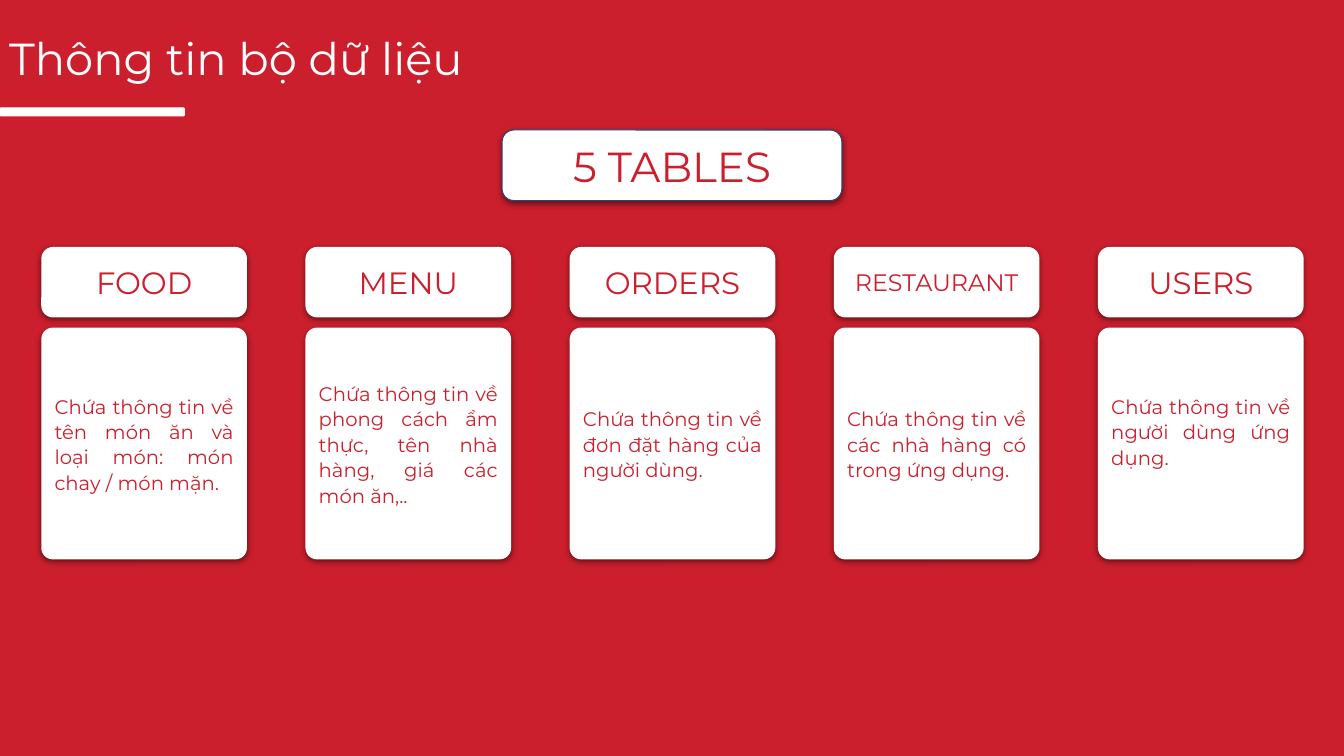
from dataclasses import dataclass

from lxml import etree
from pptx import Presentation
from pptx.dml.color import RGBColor
from pptx.enum.shapes import MSO_SHAPE
from pptx.enum.text import MSO_ANCHOR, PP_ALIGN
from pptx.oxml.ns import qn
from pptx.util import Inches, Pt

ROUNDED = MSO_SHAPE.ROUNDED_RECTANGLE
TOP, MIDDLE = MSO_ANCHOR.TOP, MSO_ANCHOR.MIDDLE
LEFT, CENTER, JUSTIFY = PP_ALIGN.LEFT, PP_ALIGN.CENTER, PP_ALIGN.JUSTIFY


@dataclass(frozen=True)
class Theme:
    font: str = "Montserrat"
    red: str = "CC1F2D"
    white: str = "FFFFFF"
    navy: str = "1F497D"
    shadow: str = "000000"
    title: float = 32
    banner: float = 30
    heading: float = 22
    long_heading: float = 17
    body: float = 14
    line: float = 0.75


@dataclass(frozen=True)
class Box:
    left: float
    top: float
    width: float
    height: float

    def lengths(self):
        return [Inches(n) for n in (self.left, self.top, self.width, self.height)]


@dataclass(frozen=True)
class Grid:
    left: float = 0.41
    pitch: float = 2.62
    width: float = 2.04
    heading_top: float = 2.45
    heading_height: float = 0.7
    body_top: float = 3.25
    body_height: float = 2.3

    def heading(self, column: int) -> Box:
        return Box(self.left + column * self.pitch, self.heading_top, self.width, self.heading_height)

    def body(self, column: int) -> Box:
        return Box(self.left + column * self.pitch, self.body_top, self.width, self.body_height)


@dataclass(frozen=True)
class TableCard:
    name: str
    description: str
    name_size: float
    bottom_inset: float = 0.1


THEME = Theme()
GRID = Grid()
SLIDE_WIDTH, SLIDE_HEIGHT = 13.33, 7.5
PADDING = (0.1, 0.1, 0.1, 0.1)
BANNER_WIDTH = 3.37

CARDS = [
    TableCard("FOOD", "Chứa thông tin về tên món ăn và loại món: món chay / món mặn.", THEME.heading),
    TableCard("MENU", "Chứa thông tin về phong cách ẩm thực, tên nhà hàng, giá các món ăn,..", THEME.heading),
    TableCard("ORDERS", "Chứa thông tin về đơn đặt hàng của người dùng.", THEME.heading),
    TableCard("RESTAURANT", "Chứa thông tin về các nhà hàng có trong ứng dụng.", THEME.long_heading),
    TableCard("USERS", "Chứa thông tin về người dùng ứng dụng.", THEME.heading, bottom_inset=0.35),
]


def write_text(shape, text: str, *, size: float, color: str = THEME.red, align=CENTER,
               anchor=MIDDLE, insets=PADDING, spacing: float = 1.0) -> None:
    frame = shape.text_frame
    frame.word_wrap = True
    frame.vertical_anchor = anchor
    frame.margin_left, frame.margin_top, frame.margin_right, frame.margin_bottom = map(Inches, insets)
    paragraph = frame.paragraphs[0]
    paragraph.alignment = align
    paragraph.line_spacing = spacing
    run = paragraph.add_run()
    run.text = text
    run.font.name = THEME.font
    run.font.size = Pt(size)
    run.font.color.rgb = RGBColor.from_string(color)


def add_shadow(shape) -> None:
    effects = shape._element.spPr.find(qn("a:effectLst"))
    shadow = etree.SubElement(effects, qn("a:outerShdw"), blurRad=str(Pt(4.5)), dist=str(Pt(1.5)),
                              dir="5400000", algn="t", rotWithShape="0")
    color = etree.SubElement(shadow, qn("a:srgbClr"), val=THEME.shadow)
    etree.SubElement(color, qn("a:alpha"), val="50000")


def add_panel(shapes, box: Box, *, corner: float = 0.167, line: str = "", shadow: bool = True):
    shape = shapes.add_shape(ROUNDED, *box.lengths())
    shape.adjustments[0] = corner
    shape.fill.solid()
    shape.fill.fore_color.rgb = RGBColor.from_string(THEME.white)
    if line:
        shape.line.color.rgb = RGBColor.from_string(line)
        shape.line.width = Pt(THEME.line)
    else:
        shape.line.fill.background()
    shape.shadow.inherit = False
    if shadow:
        add_shadow(shape)
    return shape


def add_card(slide, column: int, card: TableCard) -> None:
    shapes = slide.shapes.add_group_shape().shapes
    heading = add_panel(shapes, GRID.heading(column))
    write_text(heading, card.name, size=card.name_size)
    body = add_panel(shapes, GRID.body(column), corner=0.056)
    write_text(body, card.description, size=THEME.body, align=JUSTIFY, spacing=1.08,
               insets=(*PADDING[:3], card.bottom_inset))


def main() -> None:
    presentation = Presentation()
    presentation.slide_width = Inches(SLIDE_WIDTH)
    presentation.slide_height = Inches(SLIDE_HEIGHT)
    slide = presentation.slides.add_slide(presentation.slide_layouts[6])
    slide.background.fill.solid()
    slide.background.fill.fore_color.rgb = RGBColor.from_string(THEME.red)

    title = slide.shapes.add_textbox(*Box(0.08, 0.29, 5.92, 0.55).lengths())
    write_text(title, "Thông tin bộ dữ liệu", size=THEME.title, color=THEME.white,
               align=LEFT, anchor=TOP, insets=(0.01, 0.01, 0, 0))
    add_panel(slide.shapes, Box(0, 1.07, 1.83, 0.08), line=THEME.white, shadow=False)

    banner_box = Box((SLIDE_WIDTH - BANNER_WIDTH) / 2, 1.29, BANNER_WIDTH, GRID.heading_height)
    banner = add_panel(slide.shapes, banner_box, line=THEME.navy)
    write_text(banner, "5 TABLES", size=THEME.banner)

    for column, card in enumerate(CARDS):
        add_card(slide, column, card)
    presentation.save("out.pptx")


if __name__ == "__main__":
    main()
